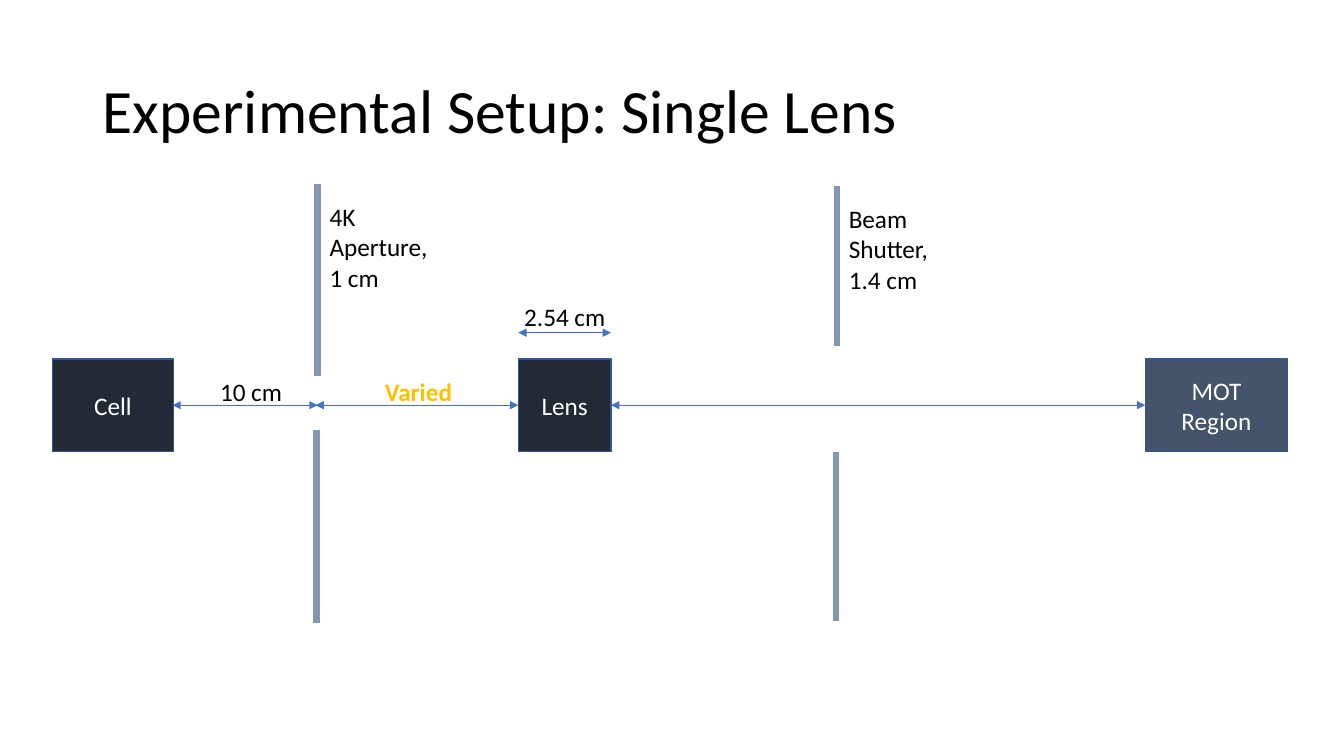
from pptx import Presentation
from pptx.dml.color import RGBColor
from pptx.enum.shapes import MSO_CONNECTOR as CONN, MSO_SHAPE as SHAPE
from pptx.enum.text import MSO_ANCHOR as ANCHOR, PP_ALIGN as ALIGN
from pptx.oxml.ns import qn
from pptx.util import Inches, Pt
from lxml.etree import SubElement


def rgb(value):
    return RGBColor.from_string(value)


class Diagram:
    font = "Calibri"
    size = 18
    black, white = "000000", "FFFFFF"
    dark, slate, border = "222A35", "44546A", "325491"
    barrier_color, arrow_color, accent = "8497B0", "4472C4", "FFC000"

    def __init__(self, prs):
        self.slide = prs.slides.add_slide(prs.slide_layouts[5])

    def set_text(self, tf, text, color, size=size, align=ALIGN.LEFT, bold=False):
        tf.text = text
        tf.word_wrap = True
        for p in tf.paragraphs:
            p.alignment = align
            for r in p.runs:
                r.font.name = self.font
                r.font.size = Pt(size)
                r.font.bold = bold
                r.font.color.rgb = rgb(color)

    def title(self, text, left, top, width, height):
        sp = self.slide.shapes.title
        sp.left, sp.top = Inches(left), Inches(top)
        sp.width, sp.height = Inches(width), Inches(height)
        self.set_text(sp.text_frame, text, self.black, 44)
        sp.text_frame.vertical_anchor = ANCHOR.MIDDLE
        sp.text_frame.paragraphs[0].line_spacing = 0.9

    def box(self, text, left, width, fill, top=3.56, height=0.92):
        sp = self.slide.shapes.add_shape(
            SHAPE.RECTANGLE, Inches(left), Inches(top), Inches(width), Inches(height))
        sp.shadow.inherit = False
        sp.fill.solid()
        sp.fill.fore_color.rgb = rgb(fill)
        sp.line.color.rgb = rgb(self.border)
        sp.line.width = Pt(1)
        self.set_text(sp.text_frame, text, self.white, align=ALIGN.CENTER)
        sp.text_frame.vertical_anchor = ANCHOR.MIDDLE

    def label(self, text, left, top, width, height=0.4, color=black, **style):
        sp = self.slide.shapes.add_textbox(
            Inches(left), Inches(top), Inches(width), Inches(height))
        self.set_text(sp.text_frame, text, color, **style)

    def line(self, x1, y1, x2, y2, color, width):
        sp = self.slide.shapes.add_connector(
            CONN.STRAIGHT, Inches(x1), Inches(y1), Inches(x2), Inches(y2))
        sp.line.color.rgb = rgb(color)
        sp.line.width = Pt(width)
        SubElement(sp._element.spPr, qn("a:effectLst"))
        return sp

    def barrier(self, x, top, bottom):
        self.line(x, top, x, bottom, self.barrier_color, 4.5)

    def arrow(self, x1, x2, y=4.02):
        sp = self.line(x1, y, x2, y, self.arrow_color, 0.5)
        ln = sp._element.spPr.find(qn("a:ln"))
        for end in ("a:headEnd", "a:tailEnd"):
            SubElement(ln, qn(end), type="triangle")


def main():
    prs = Presentation()
    prs.slide_width, prs.slide_height = Inches(13.33), Inches(7.5)
    d = Diagram(prs)
    d.title("Experimental Setup: Single Lens", 0.92, 0.4, 11.5, 1.45)

    for text, left, width, fill in (
        ("Cell", 0.52, 1.2, d.dark),
        ("Lens", 5.14, 0.92, d.dark),
        ("MOT Region", 11.36, 1.41, d.slate),
    ):
        d.box(text, left, width, fill)

    for x, top, bottom in (
        (3.14, 4.27, 6.18), (3.15, 1.83, 3.73),
        (8.29, 4.48, 6.16), (8.3, 1.85, 3.43),
    ):
        d.barrier(x, top, bottom)

    d.label("4K Aperture,\n1 cm", 3.17, 1.95, 1.26, 1.01)
    d.label("Beam Shutter,\n1.4 cm", 8.32, 1.97, 1.26, 1.01)

    for start, end in ((1.71, 3.15), (3.13, 5.14), (6.06, 11.36)):
        d.arrow(start, end)
    d.arrow(5.14, 6.06, 3.3)

    d.label("10 cm", 2.03, 3.68, 0.92, align=ALIGN.CENTER)
    d.label("2.54 cm", 5.1, 2.94, 1.08)
    d.label("Varied", 3.69, 3.68, 0.92, color=d.accent, align=ALIGN.CENTER, bold=True)
    prs.save("out.pptx")


if __name__ == "__main__":
    main()
